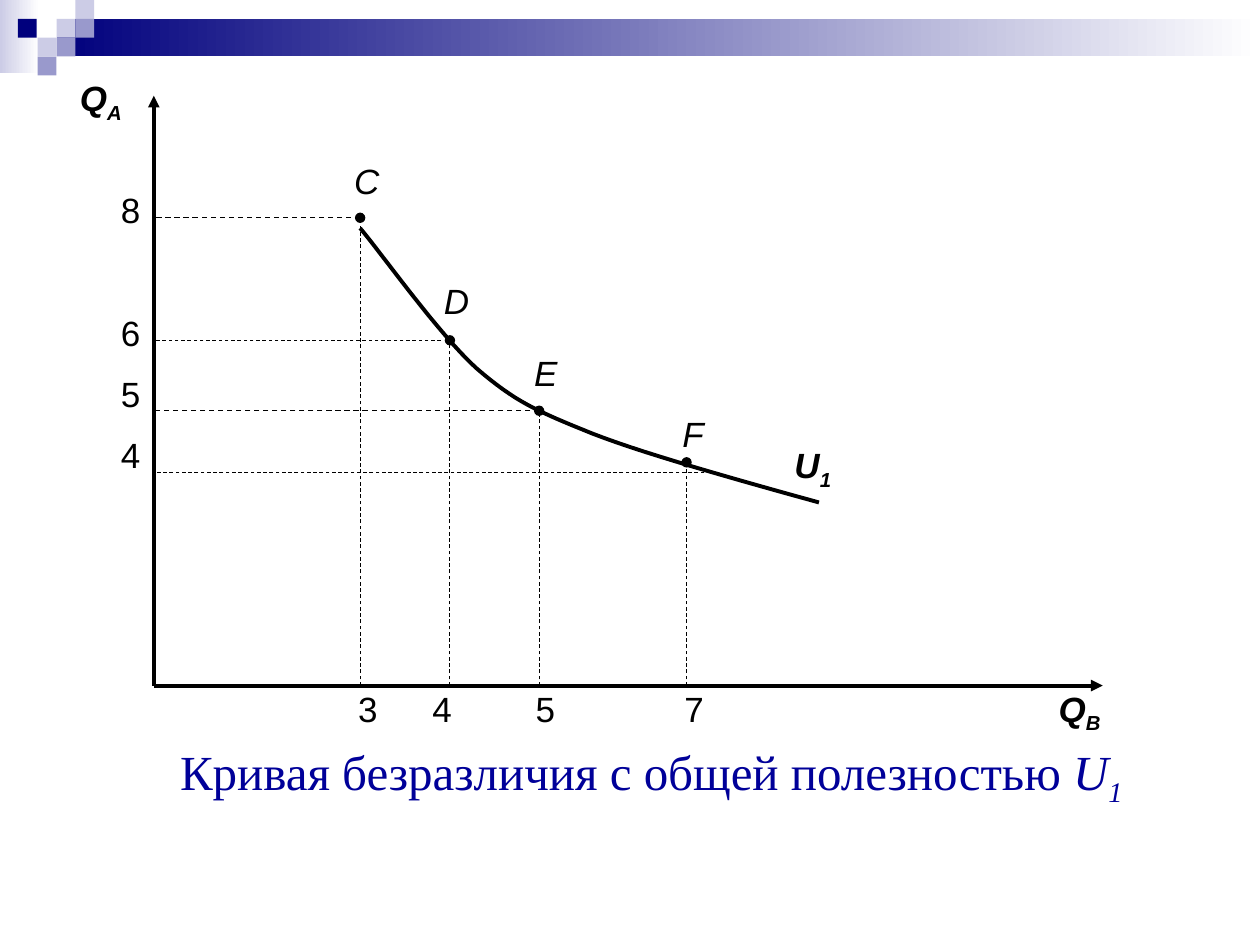
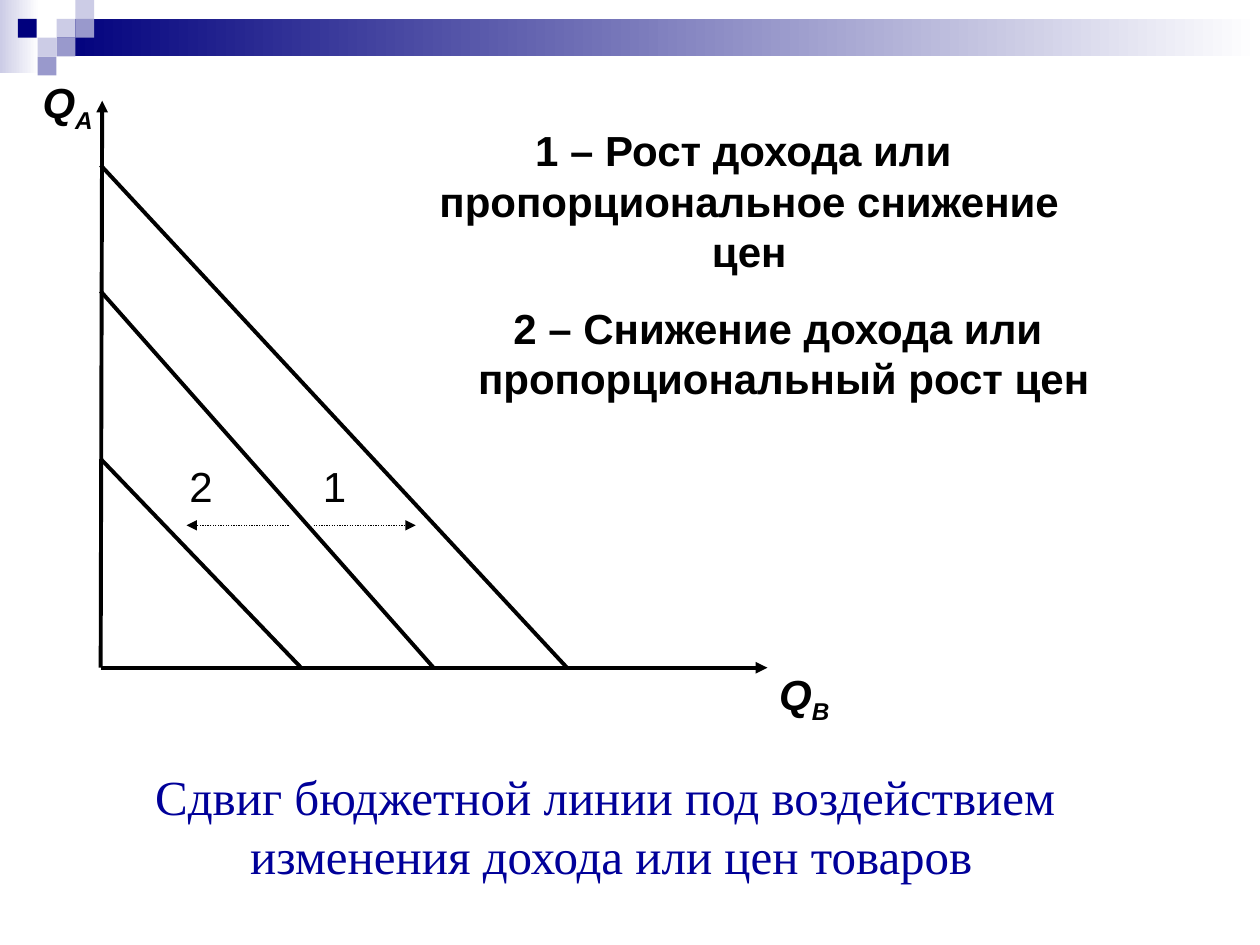
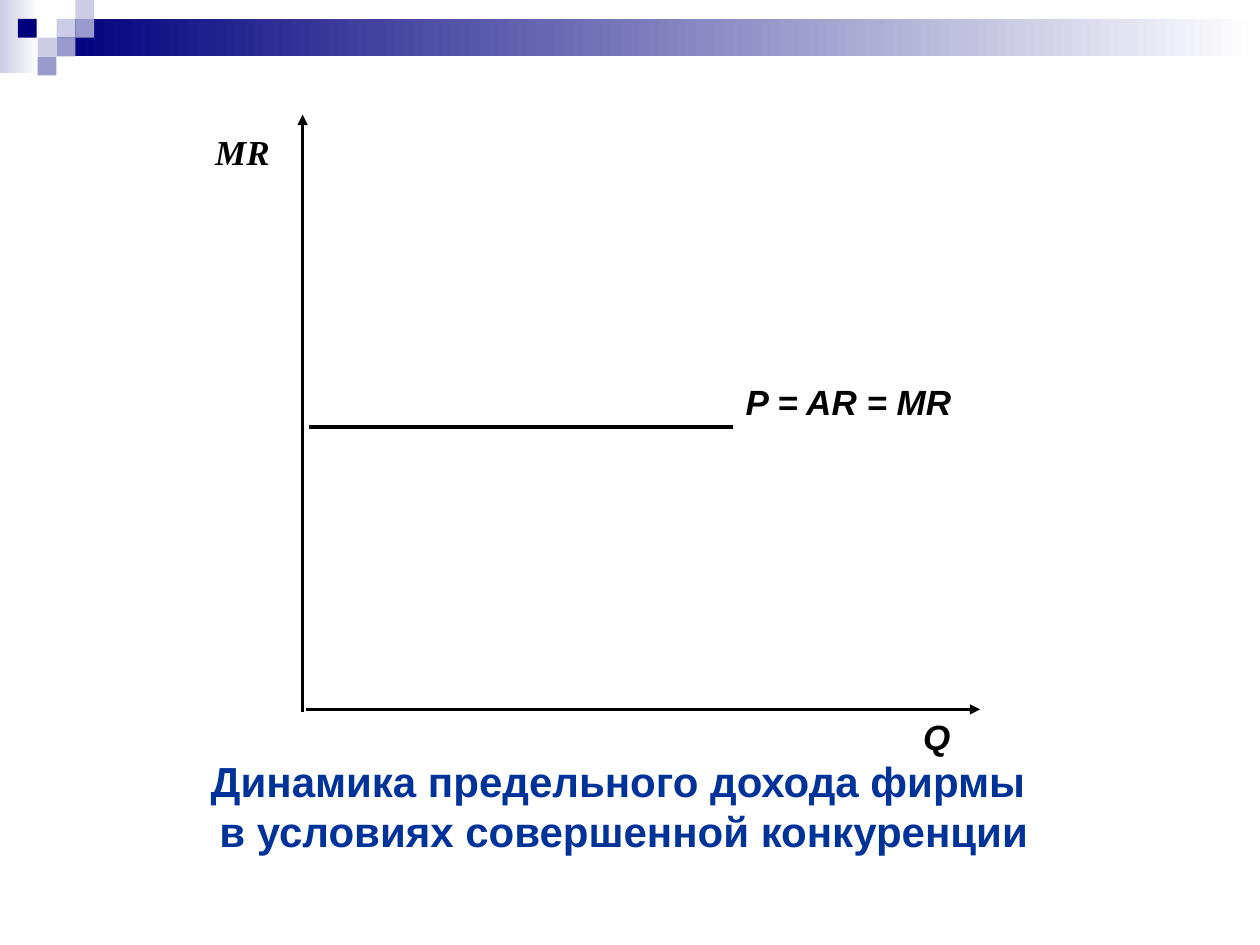
from lxml.etree import SubElement
from pptx import Presentation
from pptx.dml.color import RGBColor
from pptx.enum.dml import MSO_LINE
from pptx.enum.shapes import MSO_CONNECTOR, MSO_SHAPE
from pptx.enum.text import MSO_ANCHOR, MSO_AUTO_SIZE, PP_ALIGN
from pptx.oxml.ns import qn
from pptx.util import Cm, Pt

BLACK, NAVY, LILAC, PALE, WHITE = "000000", "00007D", "9999CC", "CCCCE6", "FFFFFF"
SERIF_TITLE = dict(size=28, font="Times New Roman", color="000099")
SANS_TITLE = dict(size=24, font="Arial", color="003399", bold=True)
STRONG = dict(bold=True, italic=True)

BANDS = [(0, 0, 0.79, 1.47, PALE), (1.14, 0.38, 24.26, 0.76, NAVY)]
TILE = 0.38
TILES = [(1.14, 0.38, PALE), (1.52, 0, PALE), (1.52, 0.38, LILAC), (0.76, 0.76, PALE),
         (0.36, 0.38, NAVY), (1.14, 0.76, LILAC), (0.76, 1.14, LILAC)]

TITLES = [
    ([[("Кривая безразличия с общей полезностью ", False), ("U_1", True)]],
     (1.7, 13.72, 22.86, 3.81), MSO_ANCHOR.MIDDLE, SERIF_TITLE),
    ([[("Сдвиг бюджетной линии под воздействием ", False)],
      [("изменения дохода или цен товаров", False)]],
     (0.89, 14.73, 22.86, 3.81), MSO_ANCHOR.MIDDLE, SERIF_TITLE),
    ([[("Динамика предельного дохода фирмы ", False)],
      [("в условиях совершенной конкуренции", False)]],
     (2.11, 13.72, 20.93, 3.66), MSO_ANCHOR.BOTTOM, SANS_TITLE),
]

UTILITY_ORIGIN = (3.1, 13.82)
UTILITY_POINTS = [
    ("C", 7.26, 4.39, 3.18, "3", 6.68),
    ("D", 9.07, 6.86, 5.61, "4", 8.18),
    ("E", 10.87, 8.28, 7.06, "5", 10.26),
    ("F", 13.84, 9.32, 8.28, "7", 13.26),
]
UTILITY_LEVELS = [("8", 4.39, 7.26, 0.75, 3.78), ("6", 6.86, 8.89, 0.5, 6.25),
                  ("5", 8.28, 10.87, 0.75, 7.47), ("4", 9.53, 14.45, 0.5, 8.71)]
UTILITY_NAMES = [("Q_A", 1.3, 1.52), ("Q_B", 21.03, 13.82), ("U_1", 15.65, 8.92)]
CURVE_START = (7.26, 4.6)
CURVE_PARTS = [((7.67, 5.08), (8.84, 6.73), (9.6, 7.42)),
               ((10.39, 8.1), (10.8, 8.28), (11.94, 8.74)),
               ((13.08, 9.19), (15.54, 9.86), (16.51, 10.13))]

BUDGET_ORIGIN = (2.03, 13.46)
BUDGET_LINES = [(5.87, 8.74), (3.33, 11.43), (9.25, 6.07)]
BUDGET_NAMES = [("Q_А", 0.69, 1.52, STRONG), ("Q_В", 15.54, 13.44, STRONG),
                ("1", 6.07, 9.25, {}), ("2", 3.38, 9.25, {})]
BUDGET_SHIFTS = [(5.82, 3.76), (6.32, 8.38)]
BUDGET_NOTES = [
    (["1 – Рост дохода или ", "пропорциональное снижение цен"], (8.08, 2.49, 14.05, 3)),
    (["2 – Снижение дохода или ", "пропорциональный рост цен"], (8.89, 6.07, 13.82, 2.26)),
]

REVENUE_NAMES = [("Q", (18.36, 14.3, 1.32, 1.63), "Arial"),
                 ("P = AR = MR", (14.78, 7.54, 5.92, 1.63), "Arial"),
                 ("МR", (4.09, 2.51, 2.26, 1.63), "Times New Roman")]


def rgb(color):
    return RGBColor.from_string(color)


def cm(values):
    return [Cm(v) for v in values]


def write(p, text, size=20, font="Arial", color=BLACK, bold=False, italic=False):
    for n, part in enumerate(text.split("_")):
        r = p.add_run()
        r.text = part
        f = r.font
        f.size, f.name, f.bold, f.italic = Pt(size), font, bold, italic
        f.color.rgb = rgb(color)
        if n:
            r._r.get_or_add_rPr().set("baseline", "-25000")


def label(s, lines, box, align=PP_ALIGN.CENTER, inset=(0.05, 0.03), **fmt):
    tf = s.shapes.add_textbox(*cm(box)).text_frame
    tf.word_wrap = True
    tf.margin_left = tf.margin_right = Cm(inset[0])
    tf.margin_top = tf.margin_bottom = Cm(inset[1])
    for n, text in enumerate(lines):
        p = tf.add_paragraph() if n else tf.paragraphs[0]
        p.alignment = align
        write(p, text, **fmt)


def stroke(shape, width, dash=None, tail=None):
    shape.line.color.rgb = rgb(BLACK)
    shape.line.width = Pt(width)
    if dash:
        shape.line.dash_style = dash
    if tail:
        SubElement(shape.line._get_or_add_ln(), qn("a:tailEnd")).set("type", tail)


def line(s, start, end, width=2.25, dash=None, tail=None):
    c = s.shapes.add_connector(MSO_CONNECTOR.STRAIGHT, *cm(start + end))
    stroke(c, width, dash, tail)
    SubElement(c.element.spPr, qn("a:effectLst"))


def curve(s, start, parts, steps=16):
    points = []
    p0 = start
    for p1, p2, p3 in parts:
        for n in range(1, steps + 1):
            t = n / steps
            u = 1 - t
            points.append(cm(u**3 * a + 3 * u * u * t * b + 3 * u * t * t * c + t**3 * d
                             for a, b, c, d in zip(p0, p1, p2, p3)))
        p0 = p3
    builder = s.shapes.build_freeform(*cm(start))
    builder.add_line_segments(points, close=False)
    sp = builder.convert_to_shape()
    sp.shadow.inherit = False
    sp.fill.background()
    stroke(sp, 2.25)


def decorate(layout, s):
    group = s.shapes.add_group_shape()
    for *box, color in BANDS + [(x, y, TILE, TILE, c) for x, y, c in TILES]:
        sp = group.shapes.add_shape(MSO_SHAPE.RECTANGLE, *cm(box))
        sp.shadow.inherit = False
        sp.line.fill.background()
        if box[2] == TILE:
            sp.fill.solid()
            sp.fill.fore_color.rgb = rgb(color)
            continue
        sp.fill.gradient()
        sp.fill.gradient_angle = 0
        for n, (stop, shade) in enumerate(zip(sp.fill.gradient_stops, (color, WHITE))):
            stop.position = n
            stop.color.rgb = rgb(shade)
    layout.placeholders[0].element.addprevious(group.element)


def set_title(s, lines, box, anchor, fmt):
    title = s.shapes.title
    title.left, title.top, title.width, title.height = cm(box)
    tf = title.text_frame
    tf.auto_size, tf.word_wrap, tf.vertical_anchor = MSO_AUTO_SIZE.NONE, True, anchor
    p = tf.paragraphs[0]
    p.alignment = PP_ALIGN.CENTER
    for n, runs in enumerate(lines):
        if n:
            p.add_line_break()
        for text, italic in runs:
            write(p, text, italic=italic, **fmt)


def draw_utility(s):
    x0, y0 = UTILITY_ORIGIN
    size = (1.47, 1.3)
    line(s, (x0, y0), (x0, 1.93), tail="triangle")
    line(s, (x0, y0), (22.23, y0), tail="triangle")
    curve(s, CURVE_START, CURVE_PARTS)
    for qty, y, end, width, top in UTILITY_LEVELS:
        line(s, (end, y), (x0, y), width, MSO_LINE.DASH)
        label(s, [qty], (1.9, top) + size)
    for name, x, y, top, qty, left in UTILITY_POINTS:
        line(s, (x, y0), (x, y), 0.5, MSO_LINE.DASH, "oval")
        label(s, [name], (x - 0.6, top) + size, italic=True)
        label(s, [qty], (left, y0) + size)
    for name, x, y in UTILITY_NAMES:
        label(s, [name], (x, y) + size, **STRONG)


def draw_budget(s):
    x0, y0 = BUDGET_ORIGIN
    line(s, (x0, y0), (2.06, 2.03), tail="triangle")
    line(s, (x0, y0), (15.47, y0), tail="triangle")
    for top, right in BUDGET_LINES:
        line(s, (x0, top), (right, y0))
    for name, x, y, fmt in BUDGET_NAMES:
        label(s, [name], (x, y, 1.35, 1.68), size=24, **fmt)
    for lines, box in BUDGET_NOTES:
        label(s, lines, box, size=24, bold=True)
    for start, end in BUDGET_SHIFTS:
        line(s, (start, 10.59), (end, 10.59), 0.75, MSO_LINE.ROUND_DOT, "triangle")


def draw_revenue(s):
    for name, box, font in REVENUE_NAMES:
        label(s, [name], box, PP_ALIGN.LEFT, (0.25, 0.13), font=font, **STRONG)
    line(s, (6.1, 14.35), (6.1, 2.31), 1.5, tail="triangle")
    line(s, (6.22, 8.61), (14.78, 8.61))
    line(s, (6.17, 14.3), (19.76, 14.3), 1.5, tail="triangle")


def main():
    prs = Presentation()
    prs.slide_width, prs.slide_height = Cm(25.4), Cm(19.05)
    layout = prs.slide_layouts[5]
    for n, (title, draw) in enumerate(zip(TITLES, (draw_utility, draw_budget, draw_revenue))):
        s = prs.slides.add_slide(layout)
        if n == 0:
            decorate(layout, s)
        set_title(s, *title)
        draw(s)
    prs.save("out.pptx")


if __name__ == "__main__":
    main()
